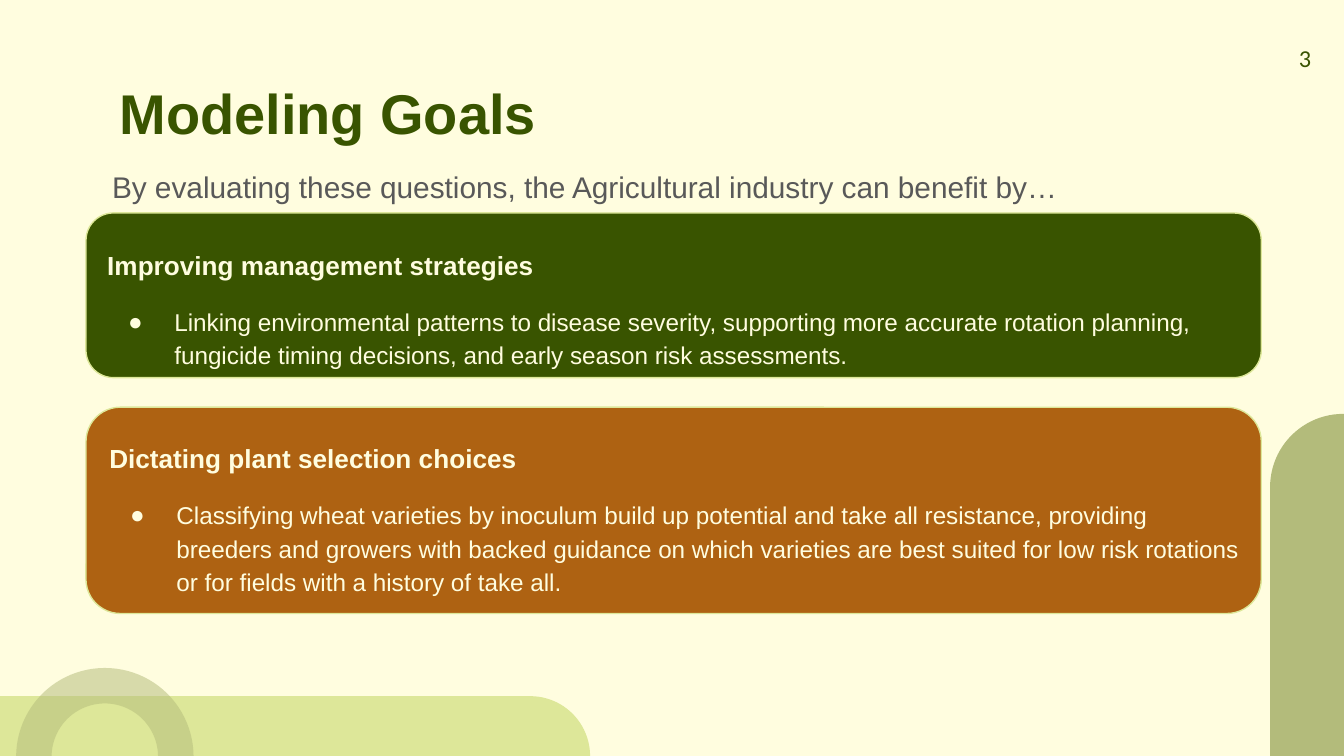
from dataclasses import dataclass

import pptx
import pptx.dml.color
import pptx.enum.shapes
import pptx.enum.text
import pptx.oxml
import pptx.oxml.ns
import pptx.util
from lxml import etree

PX = 4572  # EMU in one px, 200 px to the inch
MARGIN = 20
SHAPE = pptx.enum.shapes.MSO_SHAPE
ANCHOR = pptx.enum.text.MSO_ANCHOR
ALIGN = pptx.enum.text.PP_ALIGN


@dataclass(frozen=True)
class Theme:
    cream: str = "FFFDDF"
    forest: str = "395400"
    rust: str = "AE6212"
    lime: str = "DDE799"
    sage: str = "B3BB7B"
    grey: str = "595959"
    font: str = "Arial"
    number_font: str = "Calibri"
    title_size: int = 30
    lead_size: int = 16
    heading_size: int = 14
    body_size: int = 13
    spacing: float = 1.15
    gap: int = 12


THEME = Theme()


@dataclass(frozen=True)
class Box:
    left: int
    top: int
    width: int
    height: int

    def emu(self) -> tuple[int, ...]:
        return tuple(n * PX for n in (self.left, self.top, self.width, self.height))


@dataclass(frozen=True)
class Ornament:
    kind: SHAPE
    box: Box
    color: str
    adjustments: tuple[float, ...]
    rotation: int = 0
    opacity: int = 100


@dataclass(frozen=True)
class Goal:
    box: Box
    color: str
    inset_top: int
    inset_bottom: int
    heading: str
    detail: str


ORNAMENTS = (
    Ornament(SHAPE.ROUND_2_SAME_RECTANGLE, Box(350, 686, 178, 878), THEME.lime, (0.5, 0), rotation=90),
    Ornament(SHAPE.BLOCK_ARC, Box(24, 994, 264, 264), THEME.sage, (108, 0, 0.2), opacity=52),
    Ornament(SHAPE.ROUND_2_SAME_RECTANGLE, Box(1890, 616, 218, 509), THEME.sage, (0.5, 0)),
)

GOALS = (
    Goal(
        Box(128, 317, 1749, 245), THEME.forest, 35, 0,
        "Improving management strategies",
        "Linking environmental patterns to disease severity, supporting more accurate "
        "rotation planning, fungicide timing decisions, and early season risk assessments.",
    ),
    Goal(
        Box(128, 606, 1749, 307), THEME.rust, 40, 20,
        "Dictating plant selection choices",
        "Classifying wheat varieties by inoculum build up potential and take all resistance, "
        "providing breeders and growers with backed guidance on which varieties are best "
        "suited for low risk rotations or for fields with a history of take all.",
    ),
)


def rgb(color: str) -> pptx.dml.color.RGBColor:
    return pptx.dml.color.RGBColor.from_string(color)


def add_run(paragraph, text: str, size: int, color: str, bold: bool = False, font: str = THEME.font) -> None:
    run = paragraph.add_run()
    run.text = text
    run.font.name = font
    run.font.size = pptx.util.Pt(size)
    run.font.bold = bold
    run.font.color.rgb = rgb(color)


def set_frame(frame, anchor: ANCHOR, top: int = MARGIN, bottom: int = MARGIN) -> None:
    frame.word_wrap = True
    frame.auto_size = pptx.enum.text.MSO_AUTO_SIZE.NONE
    frame.vertical_anchor = anchor
    frame.margin_left = frame.margin_right = MARGIN * PX
    frame.margin_top, frame.margin_bottom = top * PX, bottom * PX


def add_filled(slide, kind: SHAPE, box: Box, color: str):
    shape = slide.shapes.add_shape(kind, *box.emu())
    shape.shadow.inherit = False
    shape.fill.solid()
    shape.fill.fore_color.rgb = rgb(color)
    return shape


def draw_ornament(slide, ornament: Ornament) -> None:
    shape = add_filled(slide, ornament.kind, ornament.box, ornament.color)
    shape.line.fill.background()
    shape.rotation = ornament.rotation
    for index, value in enumerate(ornament.adjustments):
        shape.adjustments[index] = value
    if ornament.opacity < 100:
        tint = shape.fill._xPr.find(".//" + pptx.oxml.ns.qn("a:srgbClr"))
        etree.SubElement(tint, pptx.oxml.ns.qn("a:alpha"), val=str(ornament.opacity * 1000))


def add_bullet(paragraph, color: str) -> None:
    properties = paragraph._p.get_or_add_pPr()
    properties.set("marL", str(100 * PX))
    properties.set("indent", str(-69 * PX))
    bullet_color = etree.SubElement(properties, pptx.oxml.ns.qn("a:buClr"))
    etree.SubElement(bullet_color, pptx.oxml.ns.qn("a:srgbClr"), val=color)
    etree.SubElement(properties, pptx.oxml.ns.qn("a:buFont"), typeface=THEME.font)
    etree.SubElement(properties, pptx.oxml.ns.qn("a:buChar"), char="●")


def draw_goal(slide, goal: Goal) -> None:
    card = add_filled(slide, SHAPE.ROUNDED_RECTANGLE, goal.box, goal.color)
    card.line.color.rgb = rgb(THEME.lime)
    card.line.width = pptx.util.Pt(0.75)
    frame = card.text_frame
    set_frame(frame, ANCHOR.MIDDLE, goal.inset_top, goal.inset_bottom)

    heading, detail = frame.paragraphs[0], frame.add_paragraph()
    for paragraph in (heading, detail):
        paragraph.alignment = ALIGN.LEFT
        paragraph.line_spacing = THEME.spacing
    add_run(heading, goal.heading, THEME.heading_size, THEME.cream, bold=True)
    detail.space_before = pptx.util.Pt(THEME.gap)
    add_bullet(detail, THEME.cream)
    add_run(detail, goal.detail, THEME.body_size, THEME.cream)


def add_text(slide, box: Box, align: ALIGN):
    frame = slide.shapes.add_textbox(*box.emu()).text_frame
    set_frame(frame, ANCHOR.TOP)
    paragraph = frame.paragraphs[0]
    paragraph.alignment = align
    return paragraph


def main() -> None:
    deck = pptx.Presentation()
    deck.slide_width, deck.slide_height = 2000 * PX, 1125 * PX
    slide = deck.slides.add_slide(deck.slide_layouts.get_by_name("Title Only"))
    slide.background.fill.solid()
    slide.background.fill.fore_color.rgb = rgb(THEME.cream)

    # Corner ornaments
    for ornament in ORNAMENTS:
        draw_ornament(slide, ornament)

    # Title
    title = slide.shapes.title
    title.left, title.top, title.width, title.height = Box(158, 97, 1686, 126).emu()
    set_frame(title.text_frame, ANCHOR.TOP)
    title_line = title.text_frame.paragraphs[0]
    title_line.alignment = ALIGN.LEFT
    add_run(title_line, "Modeling Goals", THEME.title_size, THEME.forest, bold=True)

    # Goal cards
    for goal in GOALS:
        draw_goal(slide, goal)

    # Lead-in sentence
    lead = add_text(slide, Box(147, 223, 1484, 136), ALIGN.LEFT)
    lead.line_spacing = THEME.spacing
    add_run(lead, "By evaluating these questions, the Agricultural industry can benefit by…",
            THEME.lead_size, THEME.grey)

    # Page number
    page_number = add_text(slide, Box(1851, 44, 120, 86), ALIGN.RIGHT)
    add_run(page_number, "3", THEME.body_size, THEME.forest, font=THEME.number_font)

    deck.save("out.pptx")


if __name__ == "__main__":
    main()
